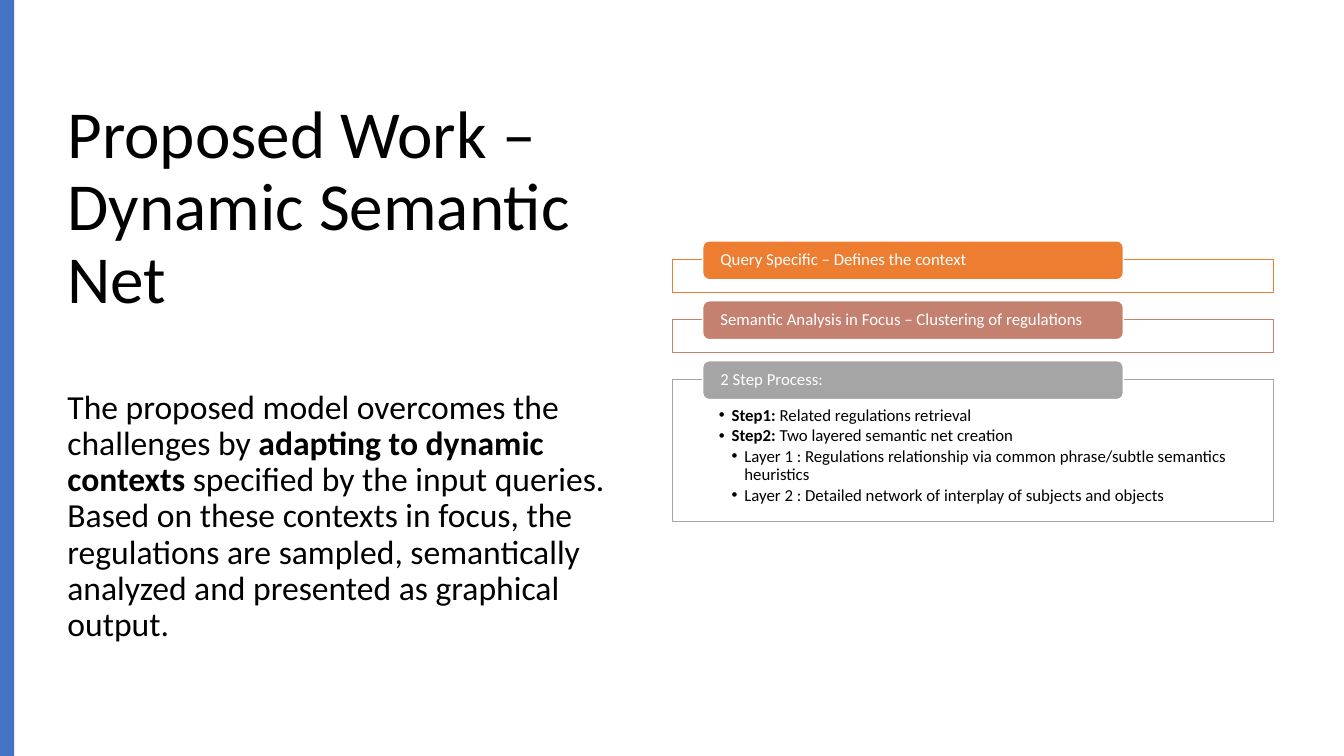
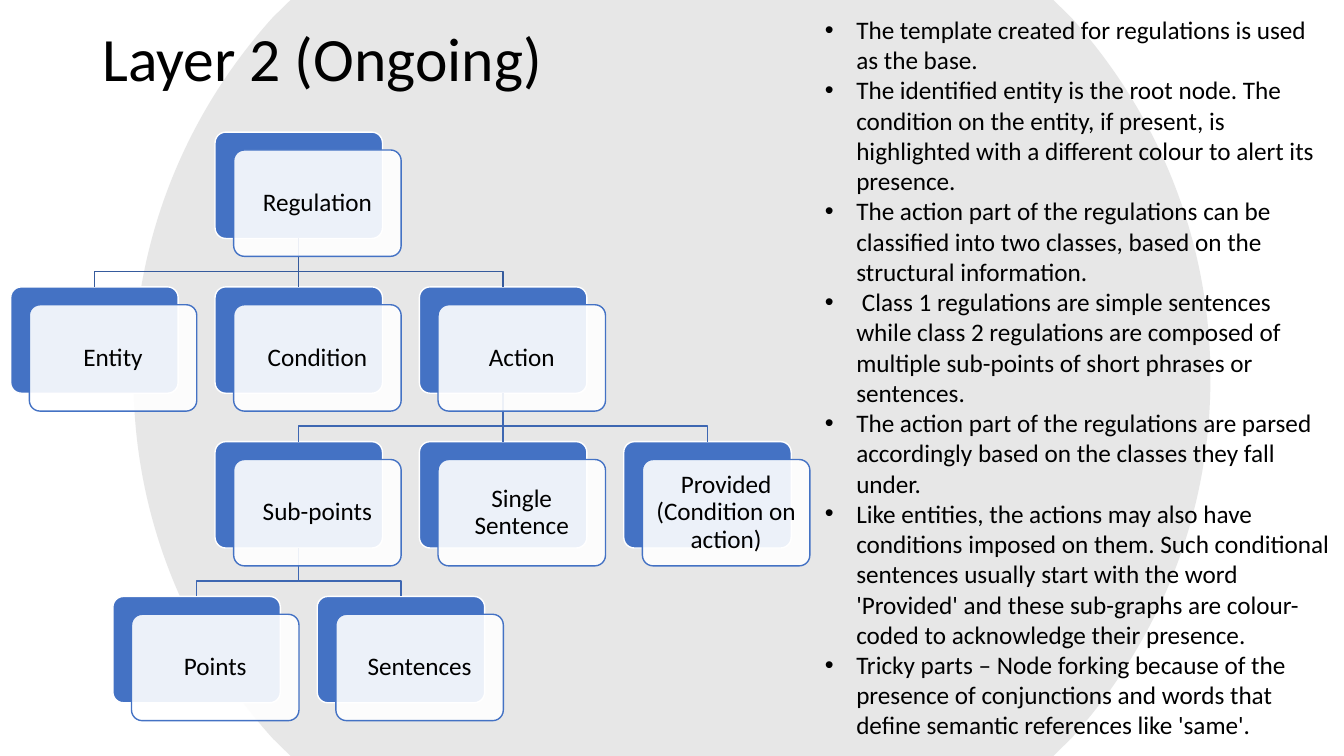
"""Build two slides on a dynamic semantic net for regulations."""
from lxml import etree
from pptx import Presentation
from pptx.dml.color import RGBColor
from pptx.enum.shapes import MSO_CONNECTOR, MSO_SHAPE
from pptx.enum.text import MSO_ANCHOR, PP_ALIGN
from pptx.oxml.ns import qn
from pptx.util import Cm, Pt

RECTANGLE, ROUNDED = MSO_SHAPE.RECTANGLE, MSO_SHAPE.ROUNDED_RECTANGLE
STRAIGHT = MSO_CONNECTOR.STRAIGHT
LEFT, CENTER = PP_ALIGN.LEFT, PP_ALIGN.CENTER
TOP, MIDDLE = MSO_ANCHOR.TOP, MSO_ANCHOR.MIDDLE

FONT = "Calibri"
BLACK, WHITE, BLUE = "000000", "FFFFFF", "4472C4"
ORANGE, ROSE, GREY = "ED7D31", "C48170", "A5A5A5"
WIDTH, HEIGHT = 33.87, 19.05
TITLE_MARGINS = (0.25, 0.13, 0.25, 0.13)


def paint(shape, fill=None, line=None, opacity=100):
    """Give a shape a flat fill, an optional 1 pt outline and no shadow."""
    shape.shadow.inherit = False
    if fill:
        shape.fill.solid()
        shape.fill.fore_color.rgb = RGBColor.from_string(fill)
    else:
        shape.fill.background()
    if opacity < 100:
        colour = shape.element.spPr.find(qn("a:solidFill"))[0]
        etree.SubElement(colour, qn("a:alpha"), val=str(opacity * 1000))
    if line:
        shape.line.color.rgb = RGBColor.from_string(line)
        shape.line.width = Pt(1)
    else:
        shape.line.fill.background()


def write(box, texts, size, colour=BLACK, align=LEFT, anchor=MIDDLE,
          margins=TITLE_MARGINS, spacing=0.9, after=0, indents=(), hang=0):
    """Fill a box with paragraphs; asterisks enclose bold words."""
    frame = box.text_frame
    frame.word_wrap = True
    frame.vertical_anchor = anchor
    (frame.margin_left, frame.margin_top,
     frame.margin_right, frame.margin_bottom) = map(Cm, margins)
    for number, text in enumerate(texts):
        para = frame.add_paragraph() if number else frame.paragraphs[0]
        para.alignment = align
        para.line_spacing = spacing
        para.space_after = Pt(after)
        if indents:
            properties = para._p.get_or_add_pPr()
            properties.set("marL", str(Cm(indents[number])))
            properties.set("indent", str(-Cm(hang)))
            etree.SubElement(properties, qn("a:buFont"), typeface="Arial")
            etree.SubElement(properties, qn("a:buChar"), char="•")
        para.font.name = FONT
        para.font.size = Pt(size)
        para.font.color.rgb = RGBColor.from_string(colour)
        for order, part in enumerate(text.split("*")):
            if part:
                span = para.add_run()
                span.text = part
                if order % 2:
                    span.font.bold = True


deck = Presentation()
deck.slide_width, deck.slide_height = Cm(WIDTH), Cm(HEIGHT)
blank = deck.slide_layouts[6]

page = deck.slides.add_slide(blank)
title = page.shapes.add_textbox(Cm(1.45), Cm(1.73), Cm(14.4), Cm(15.29))
write(title, [
    "Proposed Work – Dynamic Semantic Net",
    "The proposed model overcomes the challenges by *adapting to dynamic contexts* specified "
    "by the input queries. Based on these contexts in focus, the regulations are sampled, "
    "semantically analyzed and presented as graphical output.",
], 48)
summary = title.text_frame.paragraphs[1]
summary.space_before = Pt(51.5)
summary.font.size = Pt(24)

band = page.shapes.add_shape(RECTANGLE, 0, 0, Cm(0.36), Cm(HEIGHT))
paint(band, BLUE)

steps = [
    "*Step1:* Related regulations retrieval",
    "*Step2: *Two layered semantic net creation",
    "Layer 1 : Regulations relationship via common phrase/subtle semantics heuristics",
    "Layer 2 : Detailed network of interplay of subjects and objects",
]
sections = [
    ("Query Specific – Defines the context", ORANGE, 0.84, []),
    ("Semantic Analysis in Focus – Clustering of regulations", ROSE, 0.84, []),
    ("2 Step Process:", GREY, 3.58, steps),
]
for row, (heading, colour, height, details) in enumerate(sections):
    top = 6.54 + 1.51 * row
    panel = page.shapes.add_shape(RECTANGLE, Cm(16.95), Cm(top), Cm(15.14), Cm(height))
    paint(panel, WHITE, colour, 90)
    if details:
        write(panel, details, 12, anchor=TOP, margins=(1.17, 0.69, 1.17, 0.23),
              after=1.8, indents=(0.32, 0.32, 0.64, 0.64), hang=0.32)
    tab = page.shapes.add_shape(ROUNDED, Cm(17.71), Cm(top - 0.47), Cm(10.6), Cm(0.98))
    paint(tab, colour, WHITE)
    write(tab, [heading], 12, WHITE, margins=(0.4, 0, 0.4, 0))

page = deck.slides.add_slide(blank)
quarter = [(9.61, 0), (10.05, 0.43), (12.23, 2.84), (13.57, 6.02), (13.57, HEIGHT / 2)]
right = quarter + [(x, HEIGHT - y) for x, y in reversed(quarter[:-1])]
left = [(-x, y) for x, y in reversed(right)]
outline = [(Cm(WIDTH / 2 + x), Cm(y)) for x, y in right + left]
builder = page.shapes.build_freeform(*outline[0])
builder.add_line_segments(outline[1:], close=True)
disc = builder.convert_to_shape()
paint(disc, "D9D9D9", opacity=62)
contour = disc.element.spPr.find(".//" + qn("a:path"))
segments = contour.findall(qn("a:lnTo"))
for first in (1, 4, 10, 13):
    curve = etree.Element(qn("a:cubicBezTo"))
    segments[first].addprevious(curve)
    for segment in segments[first:first + 3]:
        curve.append(segment[0])
        contour.remove(segment)

title = page.shapes.add_textbox(Cm(2.33), Cm(0.23), Cm(29.21), Cm(2.64))
write(title, ["Layer 2 (Ongoing)"], 44)

nodes = {
    "Regulation": (1, 0),
    "Entity": (0, 1),
    "Condition": (1, 1),
    "Action": (2, 1),
    "Sub-points": (1, 2),
    "Single Sentence": (2, 2),
    "Provided (Condition on action)": (3, 2),
    "Points": (0.5, 3),
    "Sentences": (1.5, 3),
}
branches = [
    ("Regulation", ["Entity", "Condition", "Action"], "365B9D"),
    ("Action", ["Sub-points", "Single Sentence", "Provided (Condition on action)"], "3E67B2"),
    ("Sub-points", ["Points", "Sentences"], "3E67B2"),
]
node_width, node_height = Cm(4.22), Cm(2.68)
backs = {}
for name, (column, row) in nodes.items():
    back = page.shapes.add_shape(ROUNDED, Cm(0.27 + 5.15 * column), Cm(3.33 + 3.9 * row),
                                 node_width, node_height)
    back.adjustments[0] = 0.1
    paint(back, BLUE, WHITE)
    backs[name] = back

for parent, children, colour in branches:
    start = backs[parent]
    start_x, start_y = start.left + node_width // 2, start.top + node_height
    for child in children:
        end = backs[child]
        end_x, level = end.left + node_width // 2, end.top - Cm(0.39)
        if start.left == end.left:
            link = page.shapes.add_connector(STRAIGHT, start_x, start_y, end_x, end.top)
            link.begin_connect(start, 2)
            link.end_connect(end, 0)
            link.line.color.rgb = RGBColor.from_string(colour)
            link.line.width = Pt(1)
            etree.SubElement(link.element.spPr, qn("a:effectLst"))
        else:
            builder = page.shapes.build_freeform(start_x, start_y)
            builder.add_line_segments(
                [(start_x, level), (end_x, level), (end_x, end.top)], close=False)
            paint(builder.convert_to_shape(), line=colour)

for name, back in backs.items():
    card = page.shapes.add_shape(ROUNDED, back.left + Cm(0.47), back.top + Cm(0.45),
                                 node_width, node_height)
    card.adjustments[0] = 0.1
    paint(card, WHITE, BLUE, 90)
    write(card, [name], 18, align=CENTER, margins=(0.18,) * 4)

notes = [
    "The template created for regulations is used as the base.",
    "The identified entity is the root node. The condition on the entity, if present, is "
    "highlighted with a different colour to alert its presence.",
    "The action part of the regulations can be classified into two classes, based on the "
    "structural information.",
    " Class 1 regulations are simple sentences while class 2 regulations are composed of "
    "multiple sub-points of short phrases or sentences.",
    "The action part of the regulations are parsed accordingly based on the classes they "
    "fall under.",
    "Like entities, the actions may also have conditions imposed on them. Such conditional "
    "sentences usually start with the word 'Provided' and these sub-graphs are colour-coded "
    "to acknowledge their presence.",
    "Tricky parts – Node forking because of the presence of conjunctions and words that "
    "define semantic references like 'same'.",
]
box = page.shapes.add_textbox(Cm(20.54), Cm(0.23), Cm(13.23), Cm(18.72))
write(box, notes, 18, anchor=TOP, spacing=1.0, indents=[0.79] * len(notes), hang=0.79)

deck.save("out.pptx")
